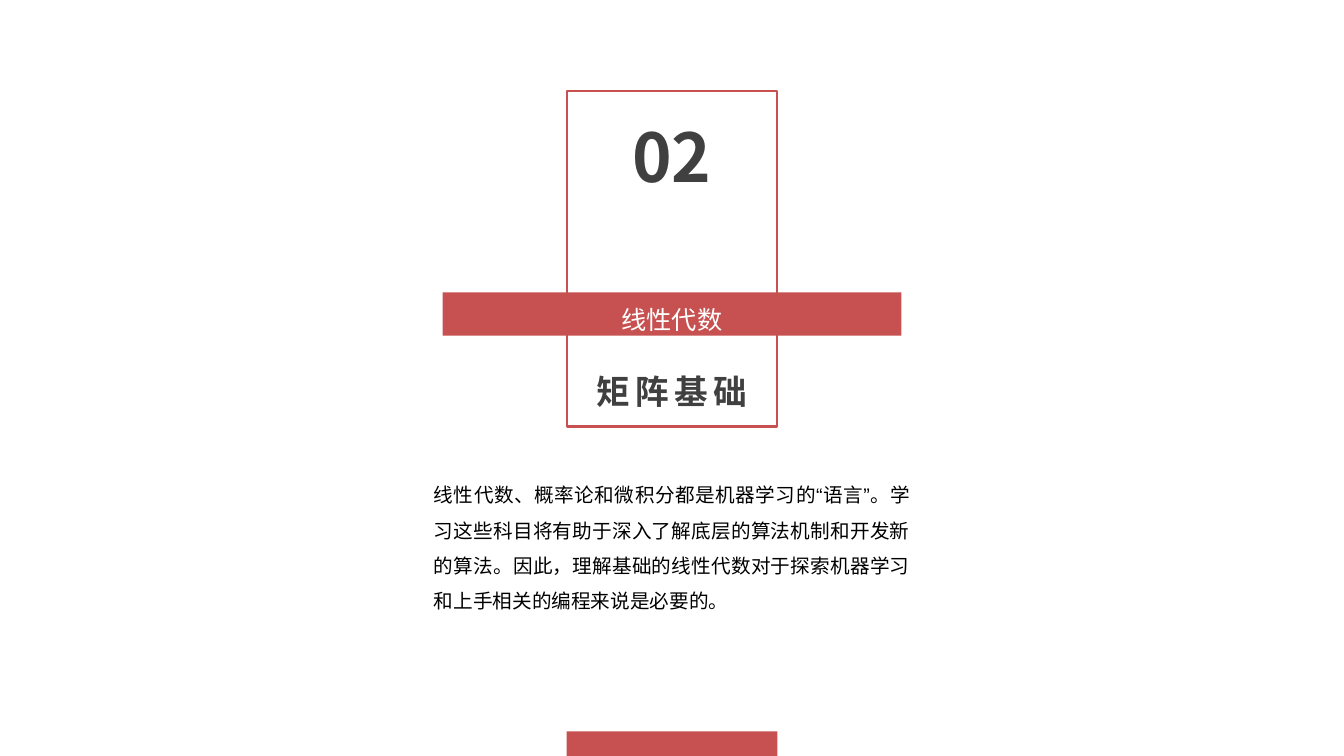
from pptx import Presentation
from pptx import util as u
from pptx.dml.color import RGBColor
from pptx.enum import shapes, text
from pptx.oxml.ns import qn

COLOURS = {"red": "C75050", "grey": "404040", "white": "FFFFFF", "black": "000000"}
HEADING_FONT, BODY_FONT = "Noto Sans CJK SC", "Arial"
PAGE_WIDTH, PAGE_HEIGHT = 33.87, 19.05

# Centimetres; every part is centred across the page: top, width, height
BARS = [
    {"place": (2.29, 5.31, 8.46), "line": "red"},
    {"place": (7.37, 11.56, 1.09), "fill": "red"},
    {"place": (18.43, 5.31, 0.62), "fill": "red"},
]
TITLE = {"text": "矩阵基础", "place": (9.22, 4.37, 1.35), "size": 24,
         "font": HEADING_FONT, "colour": "grey", "bold": True,
         "wrap": False, "tracking": 4}
TEXTS = [
    {"text": "线性代数、概率论和微积分都是机器学习的“语言”。"
             "学习这些科目将有助于深入了解底层的算法机制和开发新的算法。"
             "因此，理解基础的线性代数对于探索机器学习和上手相关的编程来说是必要的。",
     "place": (11.76, 12.5, 2.06), "size": 14, "font": BODY_FONT,
     "colour": "black", "align": "JUSTIFY", "spacing": 1.5},
    {"text": "线性代数", "place": (7.16, 7.49, 1.4), "size": 18,
     "font": HEADING_FONT, "colour": "white", "spacing": 1.5},
    {"text": "02", "place": (2.79, 4.37, 2.31), "size": 48,
     "font": HEADING_FONT, "colour": "grey", "bold": True},
]


def colour(name):
    return RGBColor.from_string(COLOURS[name])


def centred(place):
    """Turn top, width and height into left, top, width and height."""
    top, width, height = place
    return [u.Cm(n) for n in ((PAGE_WIDTH - width) / 2, top, width, height)]


def add_bar(page, bar):
    box = page.shapes.add_shape(shapes.MSO_SHAPE.RECTANGLE, *centred(bar["place"]))
    box.shadow.inherit = False
    if "fill" in bar:
        box.fill.solid()
        box.fill.fore_color.rgb = colour(bar["fill"])
        box.line.fill.background()
    else:
        box.fill.background()
        box.line.color.rgb = colour(bar["line"])
        box.line.width = u.Pt(1.5)


def write(box, item):
    """Place the box and set its one paragraph."""
    box.left, box.top, box.width, box.height = centred(item["place"])
    frame = box.text_frame
    frame.text = item["text"]
    frame.word_wrap = item.get("wrap", True)
    frame.auto_size = text.MSO_AUTO_SIZE.NONE
    frame.vertical_anchor = text.MSO_ANCHOR.TOP
    para = frame.paragraphs[0]
    para.alignment = text.PP_ALIGN[item.get("align", "CENTER")]
    para.line_spacing = item.get("spacing", 1.0)
    span = para.runs[0]
    span.font.size = u.Pt(item["size"])
    span.font.bold = item.get("bold", False)
    span.font.color.rgb = colour(item["colour"])
    span.font.name = item["font"]
    properties = span.font._element
    properties.set("lang", "zh-CN")
    properties.find(qn("a:latin")).addnext(
        properties.makeelement(qn("a:ea"), {"typeface": item["font"]}))
    if "tracking" in item:
        properties.set("spc", str(item["tracking"] * 100))


def main():
    deck = Presentation()
    deck.slide_width, deck.slide_height = u.Cm(PAGE_WIDTH), u.Cm(PAGE_HEIGHT)
    page = deck.slides.add_slide(deck.slide_layouts[5])
    for bar in BARS:
        add_bar(page, bar)
    write(page.shapes.title, TITLE)
    for item in TEXTS:
        write(page.shapes.add_textbox(*centred(item["place"])), item)
    deck.save("out.pptx")


if __name__ == "__main__":
    main()
